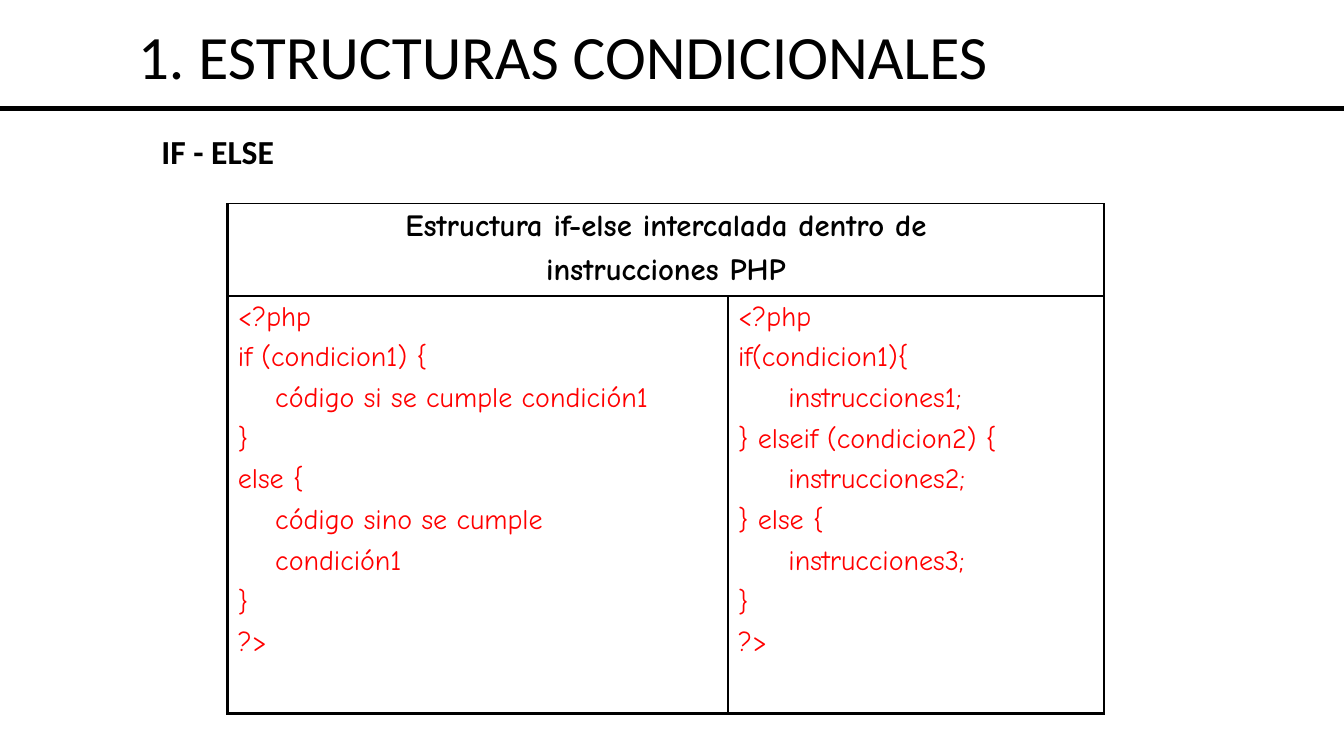
from dataclasses import dataclass

from lxml.etree import SubElement
from pptx import Presentation
from pptx.dml.color import RGBColor
from pptx.enum.shapes import MSO_CONNECTOR
from pptx.enum.text import MSO_ANCHOR, MSO_AUTO_SIZE, PP_ALIGN
from pptx.oxml.ns import qn
from pptx.util import Inches, Pt

BLACK, RED = "000000", "FF0000"
THIN, THICK = 1, 2.25


@dataclass
class CodeBlock:
    lines: list[str]
    indented: set[int]
    indent: float


IF_ELSE = CodeBlock(
    ["<?php", "if (condicion1) {", "código si se cumple condición1", "}", "else {",
     "código sino se cumple", "condición1", "}", "?>"],
    {2, 5, 6}, 0.37)
IF_ELSEIF = CodeBlock(
    ["<?php", "if(condicion1){", "instrucciones1;", "} elseif (condicion2) {",
     "instrucciones2;", "} else {", "instrucciones3;", "}", "?>"],
    {2, 4, 6}, 0.5)
HEADING = ["Estructura if-else intercalada dentro de", "instrucciones PHP"]


def set_font(paragraph, name: str, size: float, color: str, bold: bool = False) -> None:
    font = paragraph.font
    font.name, font.size, font.bold = name, Pt(size), bold
    font.color.rgb = RGBColor.from_string(color)


def place(shape, left: float, top: float, width: float, height: float) -> None:
    shape.left, shape.top = Inches(left), Inches(top)
    shape.width, shape.height = Inches(width), Inches(height)


def set_indent(paragraph, left: float, first: float = 0) -> None:
    properties = paragraph._p.get_or_add_pPr()
    properties.set("marL", str(Inches(left)))
    properties.set("indent", str(Inches(first)))


def format_cell(cell, borders: dict[str, float]) -> None:
    properties = cell._tc.get_or_add_tcPr()
    for side, width in borders.items():
        border = SubElement(properties, qn(f"a:ln{side}"), w=str(Pt(width)))
        fill = SubElement(border, qn("a:solidFill"))
        SubElement(fill, qn("a:srgbClr"), val=BLACK)
    cell.fill.background()


def write_lines(cell, lines: list[str], size: float, color: str, bold: bool = False):
    frame = cell.text_frame
    frame.text = "\n".join(lines)
    for paragraph in frame.paragraphs:
        set_font(paragraph, "Comic Neue", size, color, bold)
        paragraph.space_after = Pt(6)
    return frame.paragraphs


def write_code(cell, block: CodeBlock) -> None:
    for index, paragraph in enumerate(write_lines(cell, block.lines, 20, RED)):
        if index in block.indented:
            set_indent(paragraph, block.indent)


def main() -> None:
    deck = Presentation()
    deck.slide_width, deck.slide_height = Inches(13.33), Inches(7.5)
    slide = deck.slides.add_slide(deck.slide_layouts[1])
    title, subtitle = slide.placeholders

    # Title and rule
    place(title, 0, 0, 11.17, 0.97)
    title.text_frame.text = "1. ESTRUCTURAS CONDICIONALES"
    title.text_frame.vertical_anchor = MSO_ANCHOR.BOTTOM
    title_line = title.text_frame.paragraphs[0]
    title_line.alignment, title_line.line_spacing = PP_ALIGN.CENTER, 0.9
    set_font(title_line, "Calibri", 44, BLACK)

    rule = slide.shapes.add_connector(
        MSO_CONNECTOR.STRAIGHT, 0, Inches(1.08), deck.slide_width, Inches(1.08))
    rule.line.color.rgb = RGBColor.from_string(BLACK)
    rule.line.width = Pt(3.5)
    SubElement(rule._element.spPr, qn("a:effectLst"))

    # Subtitle
    place(subtitle, 1.5, 1.25, 7.68, 0.5)
    subtitle.text_frame.text = "IF - ELSE"
    subtitle.text_frame.auto_size = MSO_AUTO_SIZE.SHAPE_TO_FIT_TEXT
    subtitle_line = subtitle.text_frame.paragraphs[0]
    subtitle_line.space_before = Pt(0)
    set_indent(subtitle_line, 0.5, -0.5)
    SubElement(subtitle_line._p.get_or_add_pPr(), qn("a:buNone"))
    set_font(subtitle_line, "Calibri", 24, BLACK, bold=True)

    # Table of code variants
    comparison = slide.shapes.add_table(
        2, 2, Inches(2.26), Inches(2.02), Inches(8.69), Inches(5.05)).table
    comparison.first_row = comparison.horz_banding = False
    for column, width in zip(comparison.columns, (4.96, 3.73)):
        column.width = Inches(width)
    for row, height in zip(comparison.rows, (0.91, 4.14)):
        row.height = Inches(height)

    heading = comparison.cell(0, 0)
    heading.merge(comparison.cell(0, 1))
    for paragraph in write_lines(heading, HEADING, 22, BLACK, bold=True):
        paragraph.alignment = PP_ALIGN.CENTER
    for column, block in enumerate((IF_ELSE, IF_ELSEIF)):
        write_code(comparison.cell(1, column), block)

    for row in range(2):
        for column in range(2):
            format_cell(comparison.cell(row, column), {
                "L": THICK if column == 0 else THIN,
                "R": THICK if column == 1 or row == 0 else THIN,
                "T": THIN,
                "B": THICK if row == 1 else THIN,
            })

    deck.save("out.pptx")


if __name__ == "__main__":
    main()
